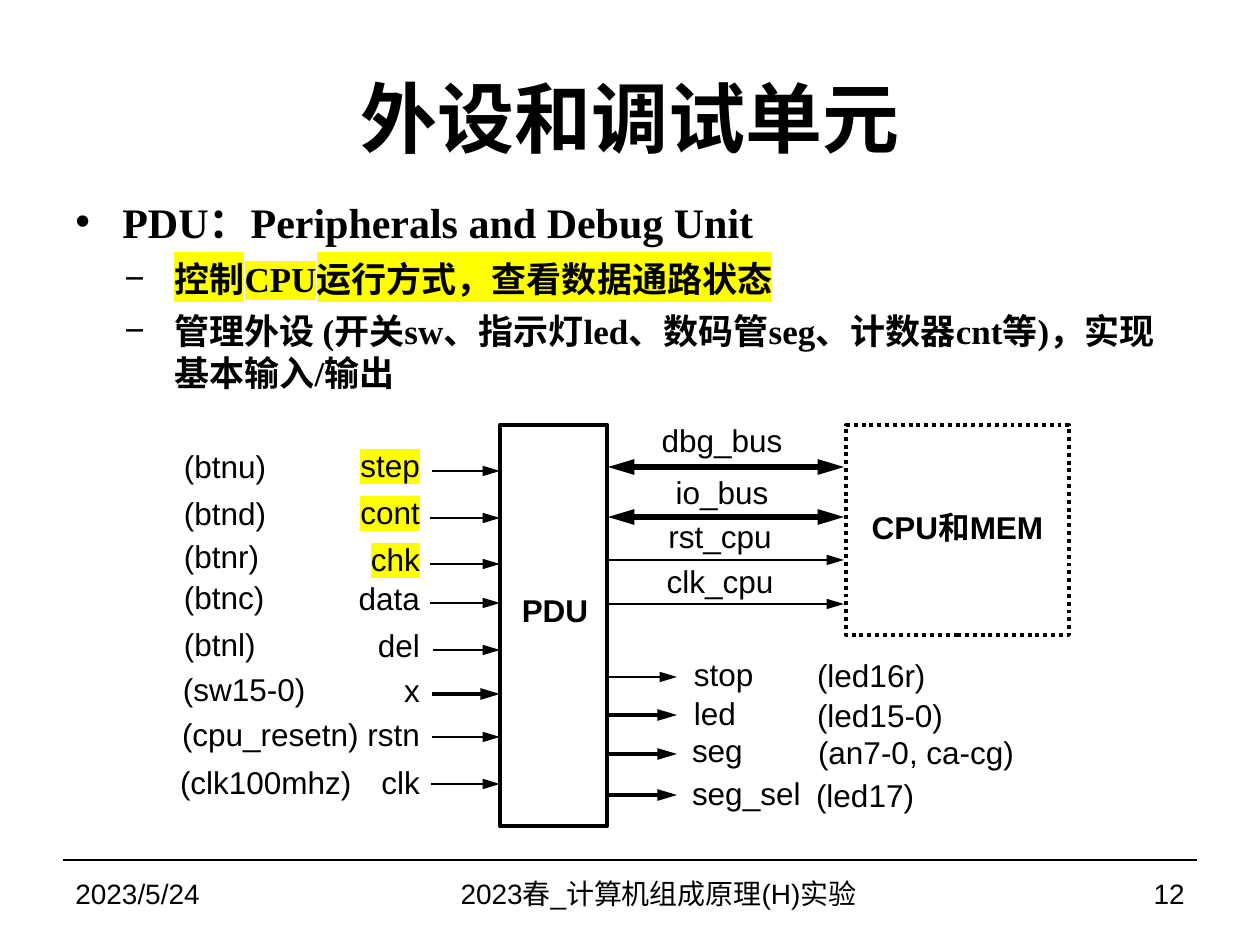
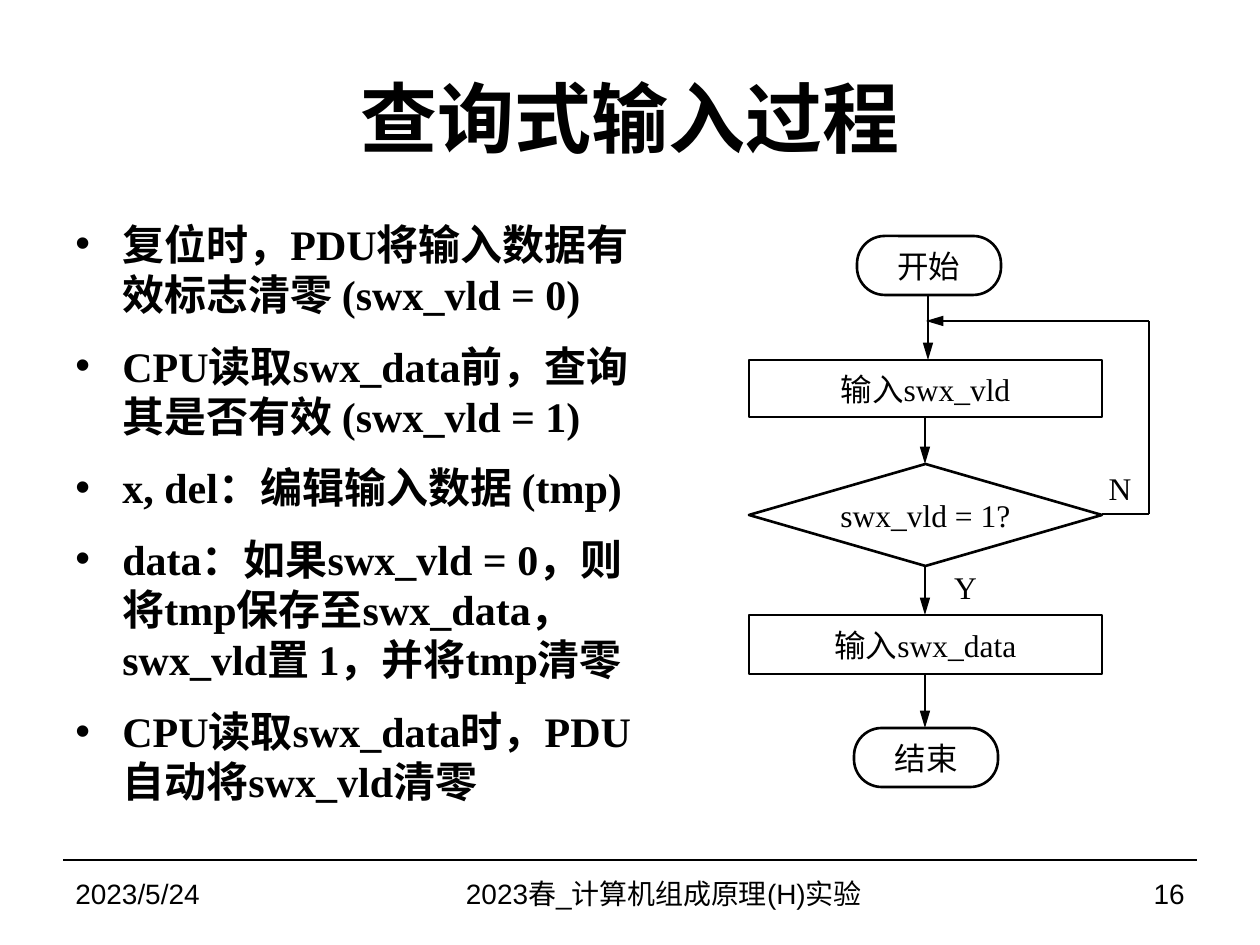
from lxml import etree
from pptx import Presentation
from pptx.dml.color import RGBColor
from pptx.enum.dml import MSO_LINE
from pptx.enum.shapes import MSO_CONNECTOR, MSO_SHAPE
from pptx.enum.text import MSO_ANCHOR, PP_ALIGN
from pptx.oxml.ns import qn
from pptx.util import Pt

PX = 914400 / 126
LEFT, MID, RIGHT = PP_ALIGN.LEFT, PP_ALIGN.CENTER, PP_ALIGN.RIGHT
RECT, ROUND, RHOMB = MSO_SHAPE.RECTANGLE, MSO_SHAPE.ROUNDED_RECTANGLE, MSO_SHAPE.DIAMOND
STRAIGHT = MSO_CONNECTOR.STRAIGHT
DOTS = MSO_LINE.ROUND_DOT
MIDDLE, TOP = MSO_ANCHOR.MIDDLE, MSO_ANCHOR.TOP
INK, MARK = "000000", "FFFF00"
SANS, SERIF = "Arial", "Times New Roman"
FOOT = "2023春_计算机组成原理(H)实验 "


def label(page, box, text, align=MID, size=18, font=SANS, bold=False,
          pad=(0, 0), preset=None, weight=1.5):
    """Add a text box, or an outlined preset shape, with evenly styled text."""
    x, y, w, h = [round(n * PX) for n in box]
    if preset is None:
        shape = page.shapes.add_textbox(x, y, w, h)
    else:
        shape = page.shapes.add_shape(preset, x, y, w, h)
        shape.shadow.inherit = False
        shape.fill.background()
        shape.line.color.rgb = RGBColor.from_string(INK)
        shape.line.width = Pt(weight)
    frame = shape.text_frame
    frame.text = text
    frame.word_wrap = align != MID
    frame.vertical_anchor = MIDDLE
    frame.margin_left = frame.margin_right = Pt(pad[0])
    frame.margin_top = frame.margin_bottom = Pt(pad[1])
    for para in frame.paragraphs:
        para.alignment = align
        for run in para.runs:
            run.font.size = Pt(size)
            run.font.name = font
            run.font.bold = bold
            run.font.color.rgb = RGBColor.from_string(INK)
    return shape


def wire(page, x1, y1, x2, y2, weight=1.5, ends=("tailEnd",)):
    """Draw a straight line with long arrowheads at the named ends."""
    line = page.shapes.add_connector(STRAIGHT, *[round(n * PX) for n in (x1, y1, x2, y2)])
    line.line.color.rgb = RGBColor.from_string(INK)
    line.line.width = Pt(weight)
    props = line.line._get_or_add_ln()
    for end in ends:
        etree.SubElement(props, qn("a:" + end), type="triangle", w="med", len="lg")
    etree.SubElement(line._element.spPr, qn("a:effectLst"))


deck = Presentation()
deck.slide_width, deck.slide_height = round(1260 * PX), round(945 * PX)
marked = []

# Title, bullets and footer: title, page number, footer width, body box, gap, lines (level, text)
frames = [
    ("外设和调试单元", "12", 609, (63, 190, 1123, 224), 6, [
        (0, "PDU：Peripherals and Debug Unit"),
        (1, "控制CPU运行方式，查看数据通路状态"),
        (1, "管理外设 (开关sw、指示灯led、数码管seg、计数器cnt等)，实现基本输入/输出"),
    ]),
    ("查询式输入过程", "16", 620, (63, 212, 596, 649), 12, [
        (0, "复位时，PDU将输入数据有效标志清零 (swx_vld = 0)"),
        (0, "CPU读取swx_data前，查询其是否有效 (swx_vld = 1)"),
        (0, "x, del：编辑输入数据 (tmp)"),
        (0, "data：如果swx_vld = 0，则将tmp保存至swx_data，swx_vld置 1，并将tmp清零"),
        (0, "CPU读取swx_data时，PDU自动将swx_vld清零"),
    ]),
]
levels = [("•", 24, 47, 47), ("−", 20, 99, 50)]
pad = (7.2, 3.6)
pages = []
for title, number, wide, box, gap, lines in frames:
    page = deck.slides.add_slide(deck.slide_layouts[6])
    pages.append(page)
    wire(page, 63, 860, 1197, 860, 0.75, ())
    label(page, (63, 38, 1134, 158), title, size=44, bold=True, pad=pad)
    text = "\n".join(line for level, line in lines)
    body = label(page, box, text, LEFT, 24, SERIF, True, pad).text_frame
    body.vertical_anchor = TOP
    for para, (level, line) in zip(body.paragraphs, lines):
        sign, size, left, hang = levels[level]
        para.level = level
        para.space_before = Pt(gap)
        para.runs[0].font.size = Pt(size)
        props = para._p.get_or_add_pPr()
        props.set("marL", str(round(left * PX)))
        props.set("indent", str(round(-hang * PX)))
        etree.SubElement(props, qn("a:buFont"), typeface=SANS)
        etree.SubElement(props, qn("a:buChar"), char=sign)
        if line.startswith("控制"):
            marked.append(para.runs[0])
    label(page, (63, 860, 294, 66), "2023/5/24", LEFT, 16, pad=pad)
    label(page, (357, 860, wide, 66), FOOT, MID, 16, pad=pad)
    label(page, (357 + wide, 860, 840 - wide, 66), number, RIGHT, 16, pad=pad)

# Debug unit and its signals
page = pages[0]
label(page, (500, 425, 107, 401), "", preset=RECT, weight=2.5)
label(page, (509, 585, 92, 50), "PDU", bold=True)
core = label(page, (846, 425, 223, 210), "CPU和MEM", bold=True, preset=RECT, weight=2.25)
core.line.dash_style = DOTS
core.text_frame.paragraphs[0].line_spacing = Pt(18)

# pin, left, middle; signal, middle; wire start, height, weight
inputs = [
    ("(btnu)", 184, 466, "step", 465, 432, 471, 1.5),
    ("(btnd)", 184, 513, "cont", 512, 430, 518, 1.5),
    ("(btnr)", 184, 556, "chk", 559, 430, 564, 1.5),
    ("(btnc)", 184, 597, "data", 598, 430, 603, 1.5),
    ("(btnl)", 184, 644, "del", 645, 433, 650, 1.5),
    ("(sw15-0)", 183, 689, "x", 690, 432, 694, 2.25),
    ("(cpu_resetn)", 182, 734, "rstn", 734, 432, 737, 1.5),
    ("(clk100mhz)", 180, 782, "clk", 782, 431, 784, 1.5),
]
for pin, left, mid, name, level, start, y, weight in inputs:
    label(page, (left, mid - 19, 182, 38), pin, LEFT)
    tag = label(page, (354, level - 19, 66, 38), name, RIGHT)
    wire(page, start, y, 500, y, weight)
    if name in ("step", "cont", "chk"):
        marked.append(tag.text_frame.paragraphs[0].runs[0])

# bus, centre, middle; wire height, weight, arrowheads
both = ("headEnd", "tailEnd")
buses = [
    ("dbg_bus", 722, 440, 467, 3, both),
    ("io_bus", 722, 492, 517, 3, both),
    ("rst_cpu", 720, 536, 560, 1.5, both[1:]),
    ("clk_cpu", 720, 581, 604, 1.5, both[1:]),
]
for name, x, mid, y, weight, ends in buses:
    label(page, (x - 61, mid - 19, 122, 38), name)
    wire(page, 608, y, 844, y, weight, ends)

# signal, left, middle; wire height, weight; pin, left, middle
outputs = [
    ("stop", 694, 674, 677, 1.5, "(led16r)", 817, 675),
    ("led", 694, 713, 715, 2.25, "(led15-0)", 817, 715),
    ("seg", 692, 750, 754, 2.25, "(an7-0, ca-cg)", 818, 752),
    ("seg_sel", 692, 793, 795, 2.25, "(led17)", 816, 795),
]
for name, left, mid, y, weight, pin, far, level in outputs:
    label(page, (left, mid - 19, 120, 38), name, LEFT)
    wire(page, 608, y, 677, y, weight)
    label(page, (far, level - 19, 210, 38), pin, LEFT)

# Polling flow chart
page = pages[1]
steps = [
    (ROUND, (857, 236, 144, 59), "开始"),
    (RECT, (749, 360, 353, 57), "输入swx_vld"),
    (RHOMB, (749, 464, 353, 102), "swx_vld = 1?"),
    (RECT, (749, 615, 353, 59), "输入swx_data"),
    (ROUND, (854, 728, 144, 59), "结束"),
    (None, (1099, 458, 42, 59), "N"),
    (None, (917, 565, 97, 43), "Y"),
]
for preset, box, text in steps:
    shape = label(page, box, text, font=SERIF, preset=preset)
    if preset == ROUND:
        shape.adjustments[0] = 0.47
for x, y1, y2 in [(928, 295, 360), (925, 417, 464), (925, 566, 615), (925, 674, 728)]:
    wire(page, x, y1, x, y2)
wire(page, 1102, 514, 1149, 514, ends=())
wire(page, 1149, 321, 1149, 514, ends=())
wire(page, 1149, 321, 926, 321)

# Highlighter goes before the typeface in the run properties
for run in marked:
    props = run._r.get_or_add_rPr()
    glow = etree.Element(qn("a:highlight"))
    etree.SubElement(glow, qn("a:srgbClr"), val=MARK)
    props.find(qn("a:latin")).addprevious(glow)

deck.save("out.pptx")
